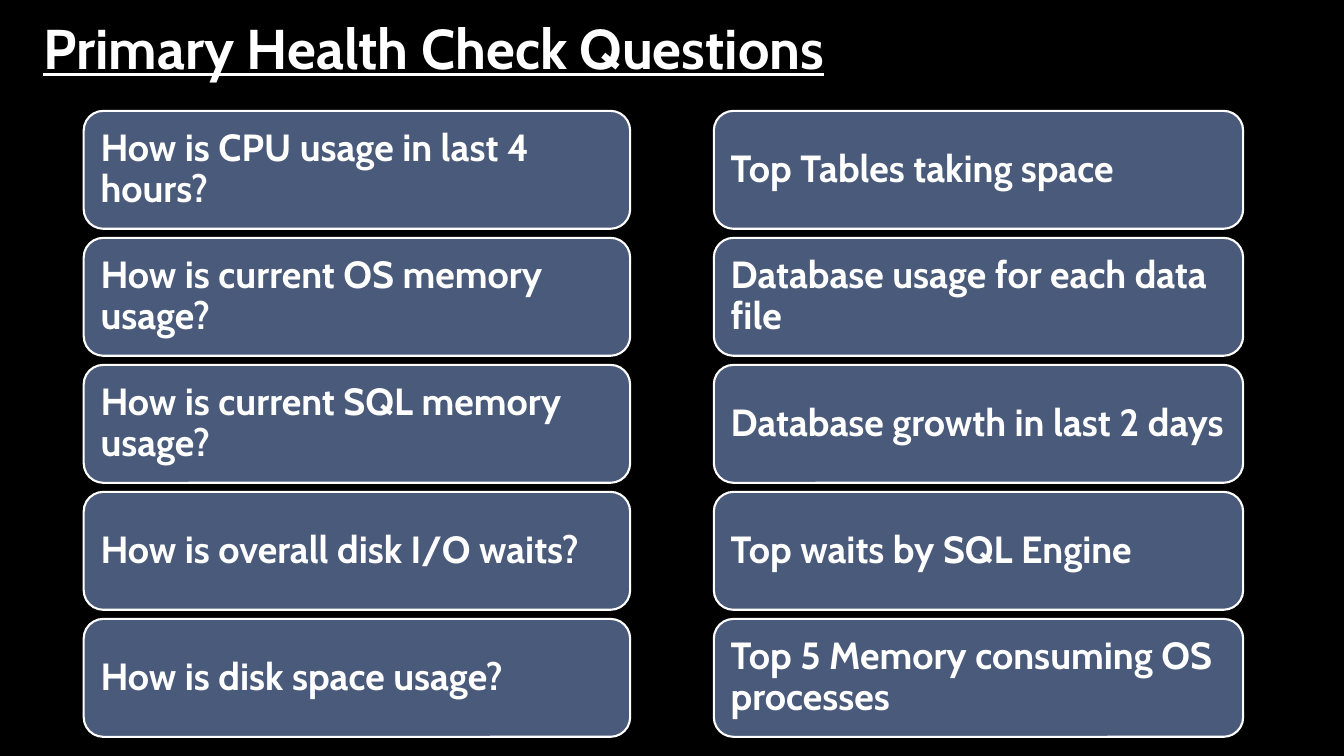
from dataclasses import dataclass

from pptx import Presentation
from pptx.dml.color import RGBColor
from pptx.enum import shapes, text
from pptx.util import Inches, Pt


@dataclass(frozen=True)
class Theme:
    background: RGBColor = RGBColor(0x00, 0x00, 0x00)
    card: RGBColor = RGBColor(0x4A, 0x5A, 0x7A)
    ink: RGBColor = RGBColor(0xFF, 0xFF, 0xFF)
    font: str = "Cabin"
    title_size: Pt = Pt(40)
    card_size: Pt = Pt(27)
    outline: Pt = Pt(1.5)


theme = Theme()

# Left edge, width and questions of each column
COLUMNS = [
    (0.83, 5.42, [
        "How is CPU usage in last 4 hours?",
        "How is current OS memory usage?",
        "How is current SQL memory usage?",
        "How is overall disk I/O waits?",
        "How is disk space usage?",
    ]),
    (7.08, 5.25, [
        "Top Tables taking space",
        "Database usage for each data file",
        "Database growth in last 2 days",
        "Top waits by SQL Engine",
        "Top 5 Memory consuming OS processes",
    ]),
]
CARDS_TOP, CARD_HEIGHT, CARD_PITCH = 1.1, 1.17, 1.26


def paint(box, fill, line):
    box.fill.solid()
    box.fill.fore_color.rgb = fill
    box.line.color.rgb = line
    box.line.width = theme.outline


def write(box, wording, frame_format, paragraph_format, font_format):
    """Put one left-aligned paragraph in the box with the given formats."""
    frame = box.text_frame
    frame.text = wording
    paragraph = frame.paragraphs[0]
    font = paragraph.runs[0].font
    font.color.rgb = theme.ink
    for part, values in (
        (frame, {"word_wrap": True, "auto_size": text.MSO_AUTO_SIZE.NONE, **frame_format}),
        (paragraph, {"alignment": text.PP_ALIGN.LEFT, **paragraph_format}),
        (font, {"name": theme.font, "bold": True, **font_format}),
    ):
        for name, value in values.items():
            setattr(part, name, value)


prs = Presentation()
prs.slide_width, prs.slide_height = Inches(13.33), Inches(7.5)
slide = prs.slides.add_slide(prs.slide_layouts[5])
slide.background.fill.solid()
slide.background.fill.fore_color.rgb = theme.background

title = slide.shapes.title
title.left, title.top = Inches(0.33), Inches(0.08)
title.width, title.height = Inches(11.2), Inches(0.58)
paint(title, theme.background, theme.background)
write(title, "Primary Health Check Questions",
      {"vertical_anchor": text.MSO_ANCHOR.TOP},
      {"space_before": Pt(4)},
      {"size": theme.title_size, "underline": True})

card_frame = {
    "vertical_anchor": text.MSO_ANCHOR.MIDDLE,
    "margin_left": Inches(0.11),
    "margin_right": Inches(0.1),
    "margin_top": Inches(0.11),
    "margin_bottom": Inches(0.11),
}
for left, width, questions in COLUMNS:
    for row, question in enumerate(questions):
        card = slide.shapes.add_shape(
            shapes.MSO_SHAPE.ROUNDED_RECTANGLE,
            Inches(left), Inches(CARDS_TOP + row * CARD_PITCH),
            Inches(width), Inches(CARD_HEIGHT))
        card.shadow.inherit = False
        paint(card, theme.card, theme.ink)
        write(card, question, card_frame,
              {"line_spacing": 0.9}, {"size": theme.card_size})

prs.save("out.pptx")
